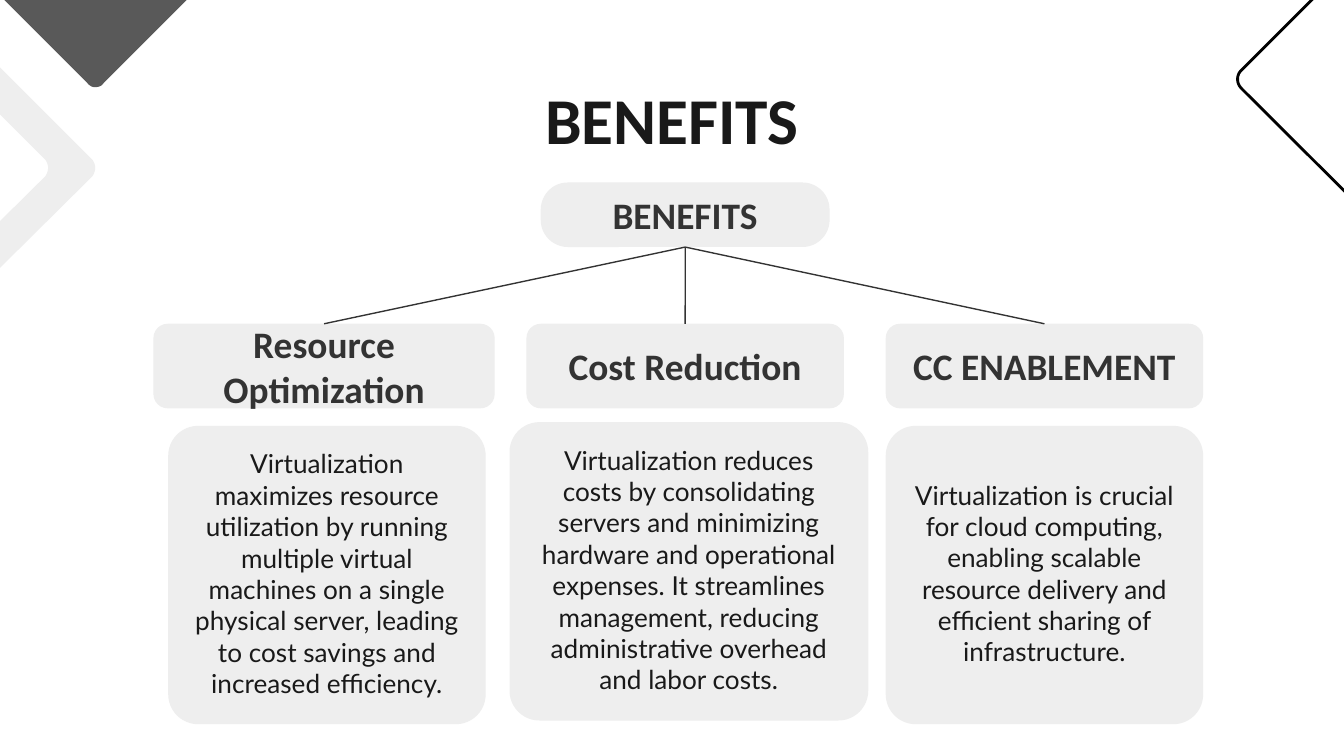
import pptx
import pptx.util
import pptx.dml.color
import pptx.enum.shapes
import pptx.enum.text
import pptx.oxml

Cm, Pt = pptx.util.Cm, pptx.util.Pt
Anchor = pptx.enum.text.MSO_ANCHOR

COLORS = {"ink": "191919", "heading": "333333", "panel": "EEEEEE",
          "dark": "595959", "outline": "000000"}
INSET = 0.25

# Outline pieces in cm: a pair is a corner, six numbers are a Bezier curve.
DARK_DIAMOND = [(4.6, -1.14), (4.6, -1.09, 4.57, -1.04, 4.52, -0.99),
                (1.96, 1.57), (1.93, 1.63, 1.85, 1.65, 1.8, 1.65),
                (1.75, 1.65, 1.7, 1.63, 1.65, 1.57),
                (-0.91, -0.99), (-0.96, -1.04, -0.99, -1.09, -0.99, -1.14)]
PALE_CHEVRON = [(1.8, 3.17), (1.8, 3.23, 1.78, 3.28, 1.75, 3.33),
                (-0.53, 5.59), (-0.61, 5.69, -0.76, 5.69, -0.84, 5.59),
                (-1.14, 5.31), (0.86, 3.33),
                (0.89, 3.28, 0.91, 3.23, 0.91, 3.17),
                (0.91, 3.12, 0.89, 3.07, 0.86, 3.02),
                (-1.14, 1.02), (-0.84, 0.74),
                (-0.76, 0.66, -0.61, 0.66, -0.53, 0.74),
                (1.75, 3.02), (1.78, 3.07, 1.8, 3.12, 1.8, 3.17)]
OPEN_DIAMOND = [(26.59, -1.7), (26.54, -1.7, 26.47, -1.68, 26.42, -1.63),
                (23.47, 1.32), (23.42, 1.37, 23.39, 1.42, 23.39, 1.5),
                (23.39, 1.57, 23.42, 1.63, 23.47, 1.68),
                (26.42, 4.62), (26.47, 4.67, 26.54, 4.7, 26.59, 4.7)]

# Heading, its left and width; body, its left, top, width and top inset.
# The last, shorter body starts one line lower.
BENEFITS = [
    ("Resource Optimization", 2.9, 6.45,
     "Virtualization maximizes resource utilization by running multiple "
     "virtual machines on a single physical server, leading to cost savings "
     "and increased efficiency.", 3.18, 8.05, 6, INSET),
    ("Cost Reduction", 9.95, 6,
     "Virtualization reduces costs by consolidating servers and minimizing "
     "hardware and operational expenses. It streamlines management, reducing "
     "administrative overhead and labor costs.", 9.63, 7.98, 6.78, INSET),
    ("CC ENABLEMENT", 16.74, 6,
     "Virtualization is crucial for cloud computing, enabling scalable "
     "resource delivery and efficient sharing of infrastructure.",
     16.74, 8.05, 6, INSET + 0.59),
]


def rgb(name):
    return pptx.dml.color.RGBColor.from_string(COLORS[name])


def write_text(frame, text, *, size, font="Calibri", color="heading",
               bold=False, anchor=Anchor.MIDDLE, top_inset=INSET):
    frame.word_wrap = True
    frame.auto_size = pptx.enum.text.MSO_AUTO_SIZE.NONE
    frame.vertical_anchor = anchor
    frame.margin_left = frame.margin_right = frame.margin_bottom = Cm(INSET)
    frame.margin_top = Cm(top_inset)
    paragraph = frame.paragraphs[0]
    paragraph.alignment = pptx.enum.text.PP_ALIGN.CENTER
    run = paragraph.add_run()
    run.text = text
    run.font.name, run.font.size, run.font.bold = font, Pt(size), bold
    run.font.color.rgb = rgb(color)


def flatten(pieces, steps=8):
    """Turn corners and Bezier curves into points in EMU."""
    points = []
    for piece in pieces:
        if len(piece) == 2:
            points.append(piece)
            continue
        nodes = [points[-1], piece[:2], piece[2:4], piece[4:]]
        for step in range(1, steps + 1):
            t = step / steps
            weights = ((1 - t) ** 3, 3 * t * (1 - t) ** 2,
                       3 * t ** 2 * (1 - t), t ** 3)
            points.append(tuple(sum(w * node[axis] for w, node in zip(weights, nodes))
                                for axis in (0, 1)))
    return [(Cm(x), Cm(y)) for x, y in points]


class BenefitsSlide:
    def __init__(self, deck):
        self.slide = deck.slides.add_slide(deck.slide_layouts[5])
        self.shapes = self.slide.shapes

    def title(self, text, left, top, width, height):
        title = self.shapes.title
        title.left, title.top = Cm(left), Cm(top)
        title.width, title.height = Cm(width), Cm(height)
        write_text(title.text_frame, text, size=35, color="ink", bold=True,
                   anchor=Anchor.TOP)

    def ornament(self, pieces, fill=None, line=None):
        start, *rest = flatten(pieces)
        builder = self.shapes.build_freeform(*start)
        builder.add_line_segments(rest, close=True)
        outline = builder.convert_to_shape()
        outline.shadow.inherit = False
        if fill:
            outline.fill.solid()
            outline.fill.fore_color.rgb = rgb(fill)
        else:
            outline.fill.background()
        if line:
            outline.line.color.rgb = rgb(line)
            outline.line.width = Pt(1.5)
        else:
            outline.line.fill.background()

    def panel(self, text, left, top, width, height, rounding, **text_format):
        panel = self.shapes.add_shape(
            pptx.enum.shapes.MSO_SHAPE.ROUNDED_RECTANGLE,
            Cm(left), Cm(top), Cm(width), Cm(height))
        panel.adjustments[0] = rounding
        panel.shadow.inherit = False
        panel.fill.solid()
        panel.fill.fore_color.rgb = rgb("panel")
        panel.line.fill.background()
        write_text(panel.text_frame, text, **text_format)
        return panel

    def branch(self, parent, child):
        """Join the parent's bottom to the child's top."""
        branch = self.shapes.add_connector(
            pptx.enum.shapes.MSO_CONNECTOR.STRAIGHT, 0, 0, 0, 0)
        branch.begin_connect(parent, 2)
        branch.end_connect(child, 0)
        branch.line.color.rgb = rgb("heading")
        branch.line.width = Pt(0.75)
        properties = branch.element.spPr
        properties.append(pptx.oxml.parse_xml(
            '<a:effectLst xmlns:a='
            '"http://schemas.openxmlformats.org/drawingml/2006/main"/>'))


def main():
    deck = pptx.Presentation()
    deck.slide_width, deck.slide_height = Cm(25.4), Cm(14.29)
    page = BenefitsSlide(deck)

    page.ornament(DARK_DIAMOND, fill="dark")
    page.ornament(PALE_CHEVRON, fill="panel")
    page.ornament(OPEN_DIAMOND, line="outline")
    page.title("BENEFITS", 2, 1.25, 21.4, 1.6)

    root = page.panel("BENEFITS", 10.22, 3.45, 5.46, 1.22, 0.42,
                      size=20, bold=True)
    for (heading, heading_left, heading_width,
         body, body_left, body_top, body_width, top_inset) in BENEFITS:
        benefit = page.panel(heading, heading_left, 6.12, heading_width, 1.6,
                             0.17, size=20, bold=True)
        page.branch(root, benefit)
        page.panel(body, body_left, body_top, body_width, 5.64, 0.1,
                   size=14, font="Lato", color="ink", anchor=Anchor.TOP,
                   top_inset=top_inset)

    deck.save("out.pptx")


if __name__ == "__main__":
    main()
